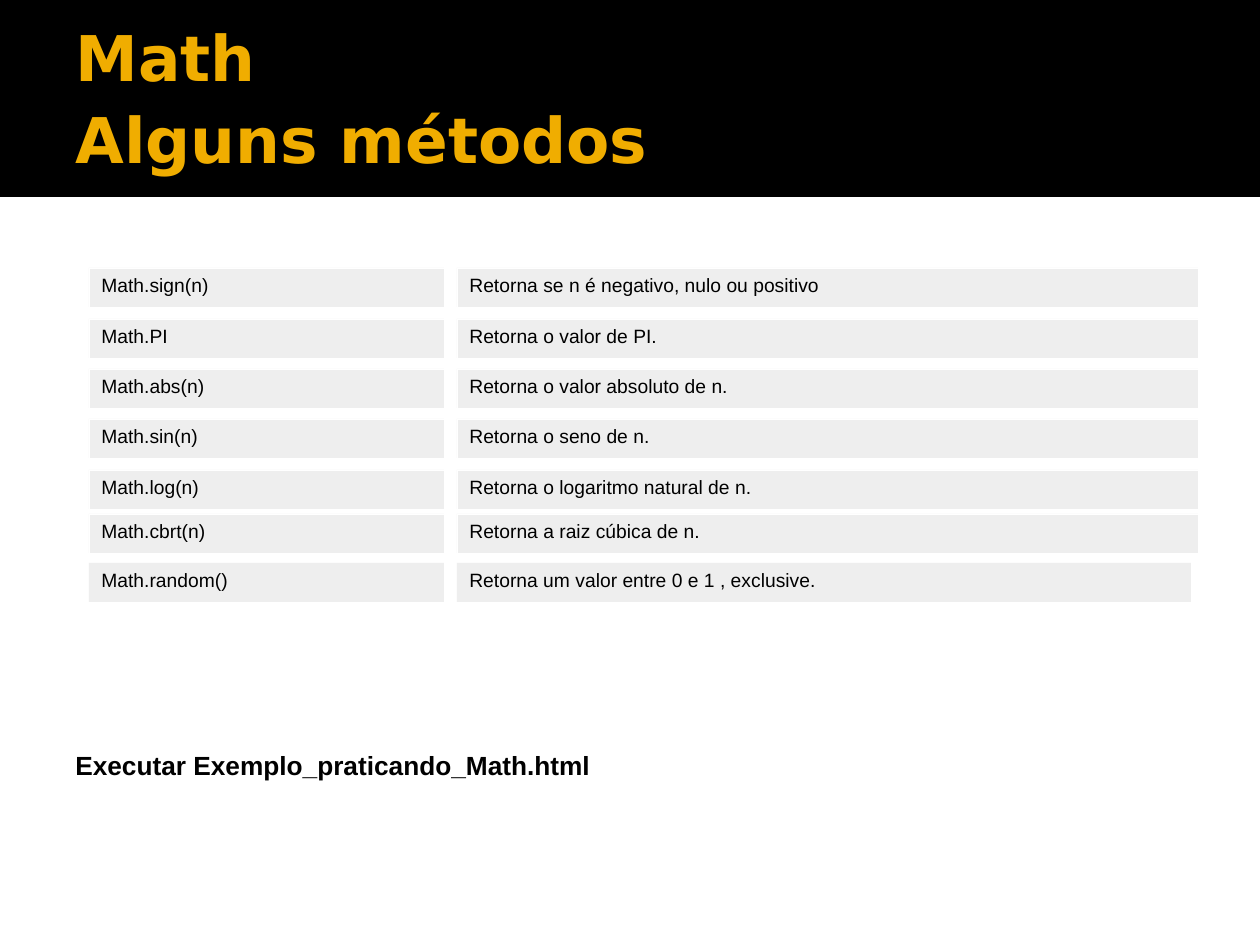
from dataclasses import dataclass
from lxml import etree
from pptx import Presentation
from pptx.dml.color import RGBColor as Rgb
from pptx.enum import shapes, text
from pptx import util as u
from pptx.oxml import ns

PX = 914400 // 126


@dataclass(frozen=True)
class Theme:
    black: Rgb = Rgb(0, 0, 0)
    white: Rgb = Rgb(0xFF, 0xFF, 0xFF)
    gold: Rgb = Rgb(0xF0, 0xAD, 0)
    gray: Rgb = Rgb(0xEE, 0xEE, 0xEE)
    head: str = "DejaVu Sans"
    body: str = "Arial"
    big: int = 36
    lead: int = 47
    mid: int = 15
    small: int = 11
    hair: float = 0.06


T = Theme()
ROWS = [
    ("Math.sign(n)", "Retorna se n é negativo, nulo ou positivo"),
    ("Math.PI", "Retorna o valor de PI."),
    ("Math.abs(n)", "Retorna o valor absoluto de n."),
    ("Math.sin(n)", "Retorna o seno de n."),
    ("Math.log(n)", "Retorna o logaritmo natural de n."),
    ("Math.cbrt(n)", "Retorna a raiz cúbica de n."),
    ("Math.random()", "Retorna um valor entre 0 e 1 , exclusive."),
]
TOPS = [0, 51, 101, 151, 202, 246, 295]


def emu(*box):
    return [n * PX for n in box]


def block(slide, box, color):
    rect = slide.shapes.add_shape(shapes.MSO_SHAPE.RECTANGLE, *emu(*box))
    rect.shadow.inherit = False
    rect.fill.solid()
    rect.fill.fore_color.rgb = color
    rect.line.fill.background()
    return rect


def rule(slide, *ends):
    line = slide.shapes.add_connector(
        shapes.MSO_CONNECTOR.STRAIGHT, *emu(*ends))
    line.line.color.rgb = T.white
    line.line.width = u.Pt(T.hair)
    etree.SubElement(line.element.spPr, ns.qn("a:effectLst"))


def write(shape, words, font, size, color, bold=False, top=6, space=0.93):
    frame = shape.text_frame
    frame.text = words
    frame.word_wrap = True
    frame.auto_size = text.MSO_AUTO_SIZE.NONE
    frame.vertical_anchor = text.MSO_ANCHOR.TOP
    frame.margin_left = frame.margin_right = u.Inches(0.1)
    frame.margin_top, frame.margin_bottom = emu(top, 6)
    para = frame.paragraphs[0]
    para.alignment = text.PP_ALIGN.LEFT
    para.line_spacing = space
    para.space_before = u.Pt(0)
    for run in para.runs:
        run.font.name = font
        run.font.size = u.Pt(size)
        run.font.bold = bold
        run.font.color.rgb = color


def header(slide, box):
    x, y, w, h = box
    title = slide.shapes.title
    title.element.addprevious(block(slide, box, T.black).element)
    title.left, title.top, title.width, title.height = emu(
        x + 63, y + 12, w - 126, h - 19)
    write(title, "Math\vAlguns métodos", T.head, T.big, T.gold,
          bold=True, top=0, space=u.Pt(T.lead))


def methods(slide, box):
    x, y, w, h = box
    name, gap = 355, 13
    wide = w - name - gap
    for top, row in zip(TOPS, ROWS):
        last = row == ROWS[-1]
        cols = [(x, name), (x + name + gap, wide - 7 * last)]
        for words, (left, width) in zip(row, cols):
            head = y + top
            cell = block(slide, (left, head, width, h), T.gray)
            write(cell, words, T.body, T.small, T.black, top=7)
            if not last:
                rule(slide, left, head, left + width, head)
                rule(slide, left, head, left, head + h)


def footer(slide, box):
    note = slide.shapes.add_textbox(*emu(*box))
    write(note, "Executar Exemplo_praticando_Math.html",
          T.body, T.mid, T.black, bold=True)


def main():
    deck = Presentation()
    deck.slide_width, deck.slide_height = emu(1260, 945)
    slide = deck.slides.add_slide(deck.slide_layouts[5])
    header(slide, (0, 0, 1260, 197))
    methods(slide, (89, 268, 1109, 39))
    footer(slide, (63, 746, 731, 83))
    deck.save("out.pptx")


if __name__ == "__main__":
    main()
